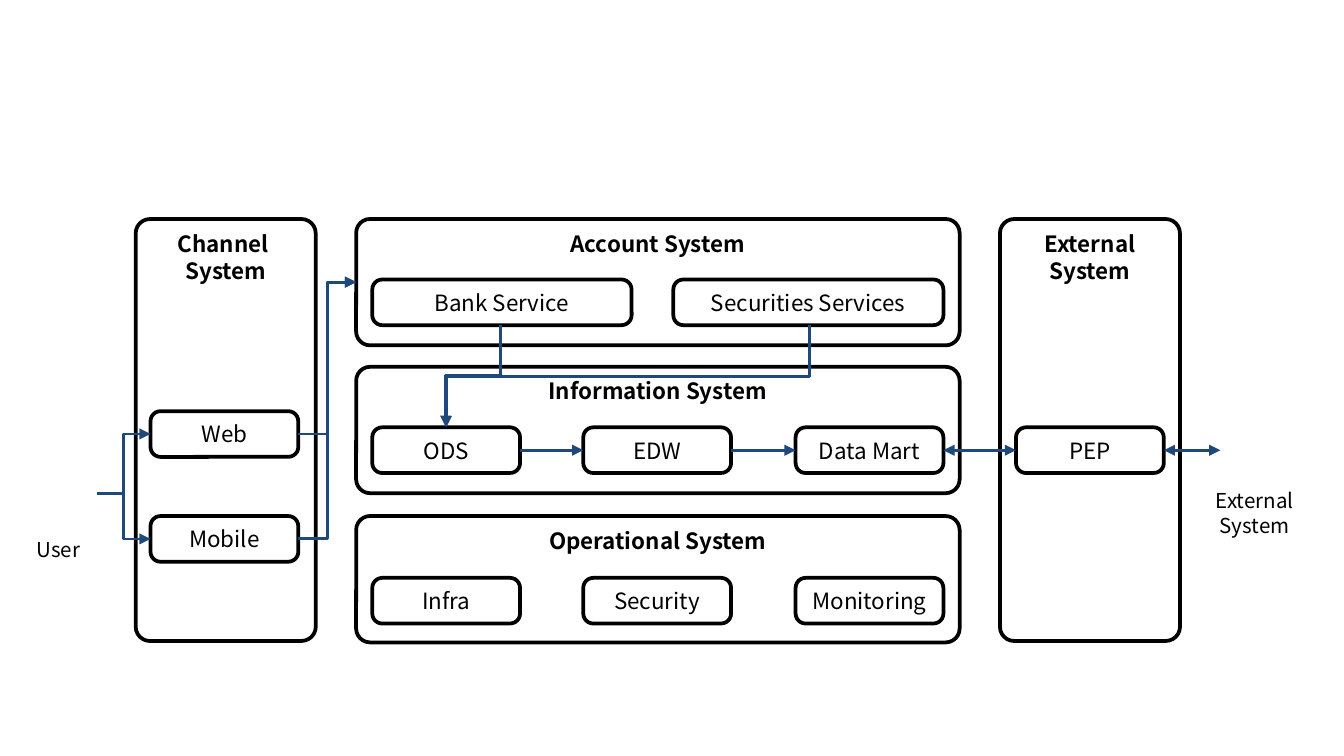
from lxml import etree
from pptx import Presentation
from pptx.dml.color import RGBColor
from pptx.enum.shapes import MSO_CONNECTOR, MSO_SHAPE
from pptx.enum.text import MSO_ANCHOR, PP_ALIGN
from pptx.oxml.ns import qn
from pptx.util import Pt

PX = 9144  # EMU per px, 100 px to the inch
SLIDE_W = 1000
FONT = "Noto Sans CJK KR"
BLACK, WHITE, NAVY = "000000", "FFFFFF", "1F497D"
ROUNDED = MSO_SHAPE.ROUNDED_RECTANGLE
STRAIGHT, ELBOW = MSO_CONNECTOR.STRAIGHT, MSO_CONNECTOR.ELBOW
TOP, MIDDLE = MSO_ANCHOR.TOP, MSO_ANCHOR.MIDDLE
CENTER = PP_ALIGN.CENTER

BOX_W, BOX_H = 110, 34
SYSTEM_TOP, COLUMN_W, COLUMN_H = 163, 134, 314
CORE_X, CORE_W, CORE_H = 265, 449, 94
CORE_TOPS = (163, 273, 384)
GRID_X = (277, 434, 592)
CHANNEL_X, PEP_X = 112, 756
SERVICE_Y, INFO_Y, OPERATION_Y = 208, 318, 430
WEB_Y, MOBILE_Y = 306, 384


def color(hex_code):
    return RGBColor.from_string(hex_code)


class Diagram:
    def __init__(self, slide):
        self.shapes = slide.shapes

    def rounded(self, text, x, y, w, h, radius, size=12, bold=False, anchor=MIDDLE, outlined=True):
        shape = self.shapes.add_shape(ROUNDED, x * PX, y * PX, w * PX, h * PX)
        shape.shadow.inherit = False
        shape.adjustments[0] = radius
        if outlined:
            shape.fill.solid()
            shape.fill.fore_color.rgb = color(WHITE)
            shape.line.color.rgb = color(BLACK)
            shape.line.width = Pt(2)
        else:
            shape.fill.background()
            shape.line.fill.background()
        frame = shape.text_frame
        frame.word_wrap = True
        frame.vertical_anchor = anchor
        frame.margin_left = frame.margin_right = 4 * PX
        frame.text = text
        for paragraph in frame.paragraphs:
            paragraph.alignment = CENTER
            for run in paragraph.runs:
                run.font.name = FONT
                run.font.size = Pt(size)
                run.font.bold = bold
                run.font.color.rgb = color(BLACK)

    def system(self, title, x, y, w, h, radius):
        self.rounded(title, x, y, w, h, radius, bold=True, anchor=TOP)

    def box(self, text, x, y, w=BOX_W):
        self.rounded(text, x, y, w, BOX_H, 0.22)

    def caption(self, text, x, y, w):
        self.rounded(text, x, y, w, 29, 0.15, size=11, outlined=False)

    def arrow(self, kind, x1, y1, x2, y2, both_ends=False):
        line = self.shapes.add_connector(kind, x1 * PX, y1 * PX, x2 * PX, y2 * PX)
        line.line.color.rgb = color(NAVY)
        line.line.width = Pt(1.5)
        outline = line.line._get_or_add_ln()
        for end in ("a:headEnd", "a:tailEnd") if both_ends else ("a:tailEnd",):
            etree.SubElement(outline, qn(end), type="triangle")
        etree.SubElement(line._element.spPr, qn("a:effectLst"))
        return line

    def flow(self, x1, x2, y, both_ends=False):
        self.arrow(STRAIGHT, x1, y, x2, y, both_ends)

    def drop(self, x1, y1, x2, y2):
        """Elbow that leaves downwards and turns left: a flat elbow rotated by 90 degrees."""
        run, fall = x1 - x2, y2 - y1
        left, top = (x1 + x2 - fall) // 2, (y1 + y2 - run) // 2
        line = self.arrow(ELBOW, left, top, left + fall, top + run)
        line._element.spPr.find(qn("a:xfrm")).set("rot", "5400000")


def main():
    prs = Presentation()
    prs.slide_width = SLIDE_W * PX
    prs.slide_height = SLIDE_W * PX * 9 // 16
    diagram = Diagram(prs.slides.add_slide(prs.slide_layouts[6]))

    for title, x in (("Channel \nSystem", 101), ("External\nSystem", 744)):
        diagram.system(title, x, SYSTEM_TOP, COLUMN_W, COLUMN_H, 0.08)
    for title, y in zip(("Account System", "Information System", "Operational System"), CORE_TOPS):
        diagram.system(title, CORE_X, y, CORE_W, CORE_H, 0.11)

    diagram.box("Bank Service", GRID_X[0], SERVICE_Y, 193)
    diagram.box("Securities Services", 501, SERVICE_Y, 201)
    for y, names in ((INFO_Y, ("ODS", "EDW", "Data Mart")),
                     (OPERATION_Y, ("Infra", "Security", "Monitoring"))):
        for name, x in zip(names, GRID_X):
            diagram.box(name, x, y)
    diagram.box("PEP", PEP_X, INFO_Y)
    diagram.box("Web", CHANNEL_X, WEB_Y)
    diagram.box("Mobile", CHANNEL_X, MOBILE_Y)

    diagram.caption("User", 8, 394, 71)
    diagram.caption("External System", 887, 367, 93)

    for channel_y in (WEB_Y + BOX_H // 2, MOBILE_Y + BOX_H // 2):
        diagram.arrow(ELBOW, 72, 367, CHANNEL_X, channel_y)
        diagram.arrow(ELBOW, CHANNEL_X + BOX_W, channel_y, CORE_X, CORE_TOPS[0] + CORE_H // 2)

    for service_x in (373, 602):
        diagram.drop(service_x, SERVICE_Y + BOX_H, GRID_X[0] + BOX_W // 2, INFO_Y)

    ods, edw, mart = GRID_X
    info_middle = INFO_Y + BOX_H // 2
    diagram.flow(ods + BOX_W, edw, info_middle)
    diagram.flow(edw + BOX_W, mart, info_middle)
    diagram.flow(mart + BOX_W, PEP_X, info_middle, both_ends=True)
    diagram.flow(PEP_X + BOX_W, 908, info_middle, both_ends=True)

    prs.save("out.pptx")


if __name__ == "__main__":
    main()
